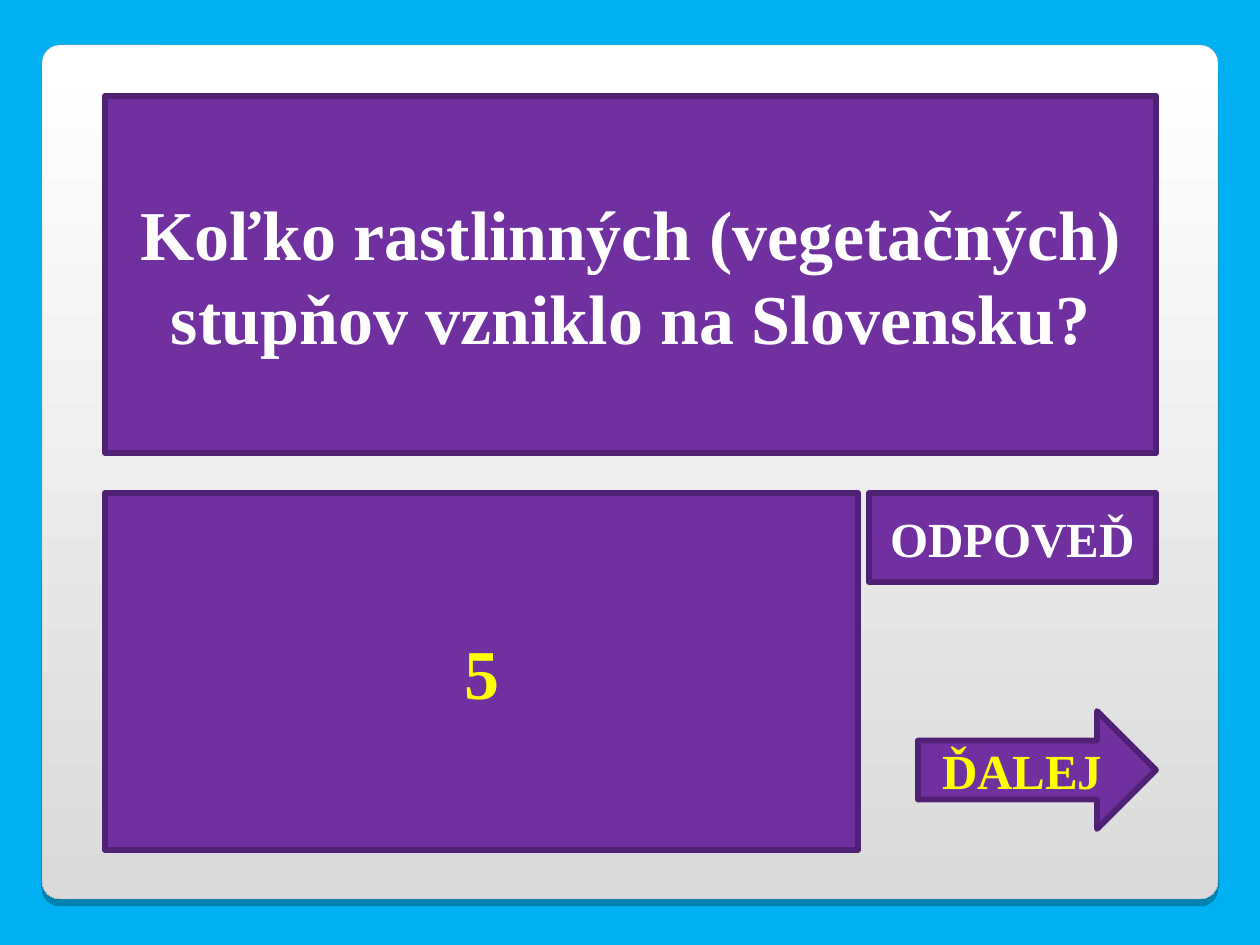
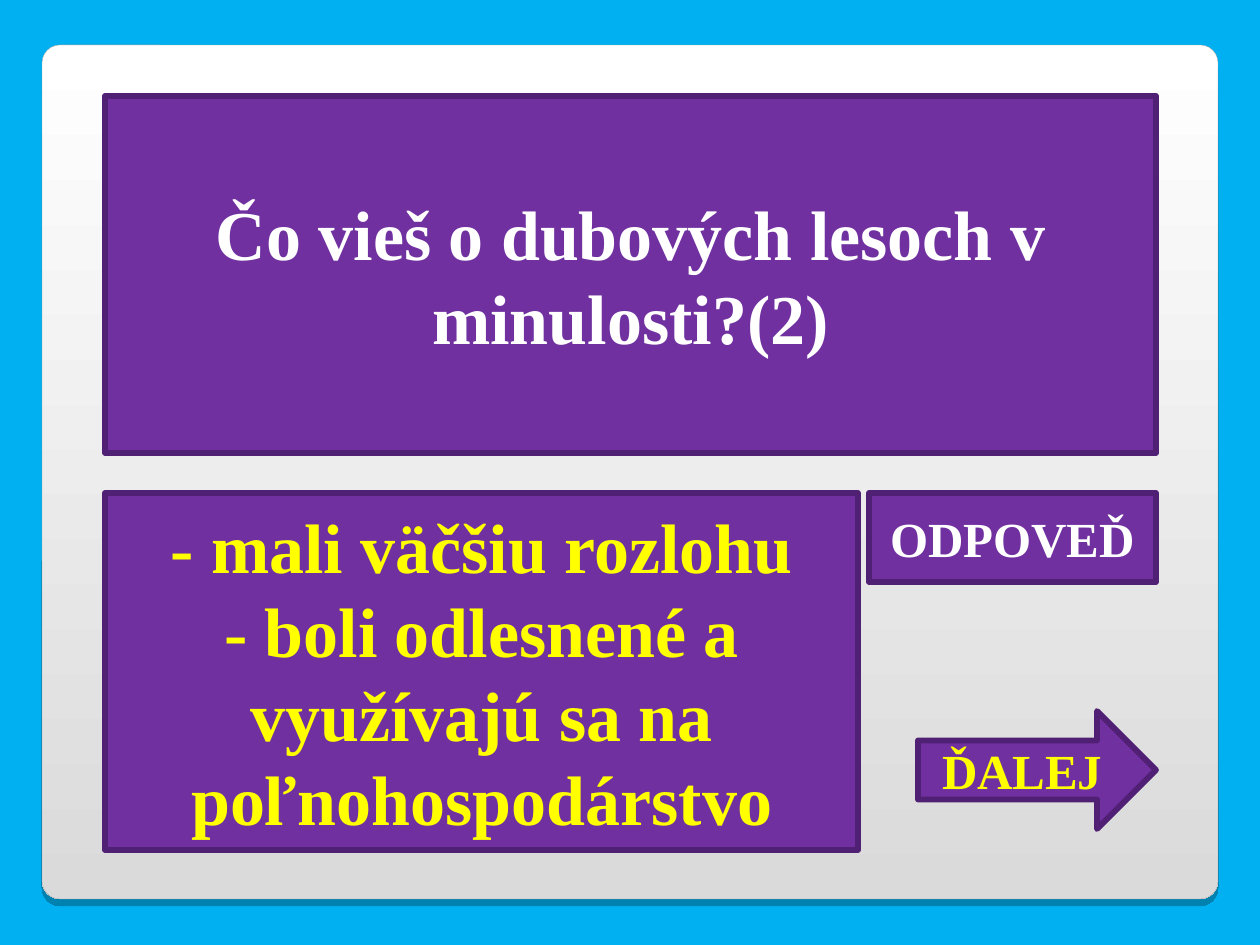
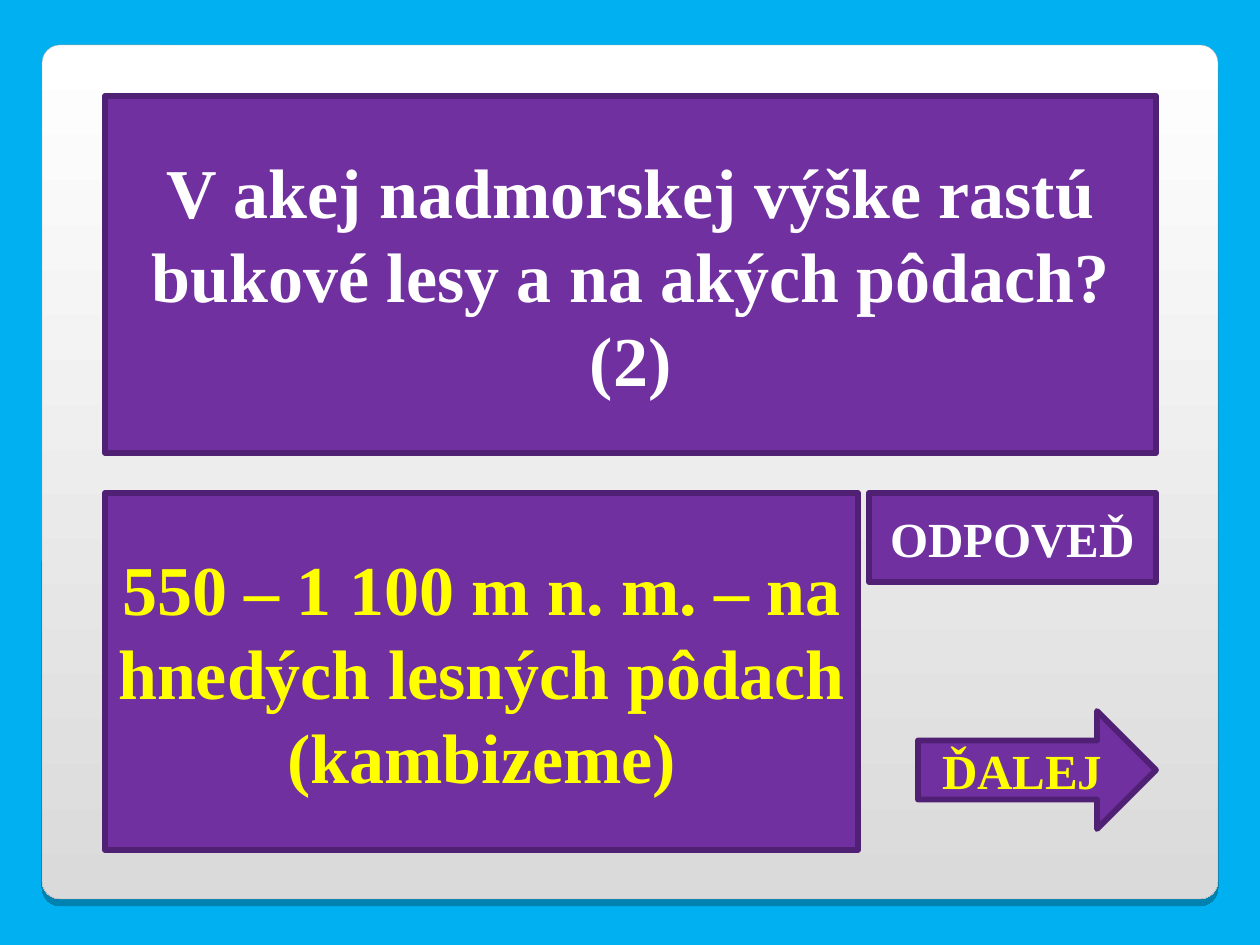
from collections import namedtuple

from lxml.etree import SubElement
from pptx import Presentation
from pptx.dml.color import RGBColor
from pptx.enum.shapes import MSO_SHAPE
from pptx.enum.text import MSO_ANCHOR, PP_ALIGN
from pptx.oxml.ns import qn
from pptx.util import Emu, Pt

PX = 914400 / 126
FONT = "Times New Roman"
COLORS = {
    "background": "00B0F0",
    "panel_top": "FFFFFF",
    "panel_bottom": "DADADA",
    "panel_edge": "A4A3A3",
    "shadow": "000000",
    "card": "7030A0",
    "card_edge": "502074",
    "question": "FFFFFF",
    "answer": "FFFF00",
}

Box = namedtuple("Box", "left top width height")
PANEL = Box(42, 45, 1176, 854)
CONTENT = Box(105, 96, 1051, 754)
CARD_HEIGHT = 357

QUIZ = [
    ("Koľko rastlinných (vegetačných) stupňov vzniklo na Slovensku?", ["5"]),
    (
        "Čo vieš o dubových lesoch v minulosti?(2)",
        ["- mali väčšiu rozlohu", "- boli odlesnené a využívajú sa na poľnohospodárstvo"],
    ),
    (
        "V akej nadmorskej výške rastú bukové lesy a na akých pôdach?(2)",
        ["550 – 1 100 m n. m. – na hnedých lesných pôdach (kambizeme)"],
    ),
]


def color(name):
    return RGBColor.from_string(COLORS[name])


def add_outlined_shape(slide, kind, box, edge, edge_width):
    shape = slide.shapes.add_shape(kind, *(Emu(round(length * PX)) for length in box))
    shape.shadow.inherit = False
    shape.line.color.rgb = color(edge)
    shape.line.width = Pt(edge_width)
    return shape


def add_card(slide, box, lines, text_color, size, kind=MSO_SHAPE.RECTANGLE):
    """Draw a purple shape with bold centred lines of text."""
    card = add_outlined_shape(slide, kind, box, "card_edge", 3.34)
    card.fill.solid()
    card.fill.fore_color.rgb = color("card")
    frame = card.text_frame
    frame.word_wrap = True
    frame.vertical_anchor = MSO_ANCHOR.MIDDLE
    frame.text = "\n".join(lines)
    for paragraph in frame.paragraphs:
        paragraph.alignment = PP_ALIGN.CENTER
        paragraph.font.name = FONT
        paragraph.font.size = Pt(size)
        paragraph.font.bold = True
        paragraph.font.color.rgb = color(text_color)


def add_panel(slide, box):
    """Draw the rounded gradient panel with a soft edge below it."""
    panel = add_outlined_shape(slide, MSO_SHAPE.ROUNDED_RECTANGLE, box, "panel_edge", 0.17)
    panel.adjustments[0] = 0.021
    panel.fill.gradient()
    panel.fill.gradient_angle = 270
    for stop, name in zip(panel.fill.gradient_stops, ("panel_top", "panel_bottom")):
        stop.color.rgb = color(name)
    effects = panel.element.spPr.find(qn("a:effectLst"))
    shadow = SubElement(effects, qn("a:outerShdw"), dist=str(Pt(4)), dir="5400000", rotWithShape="0")
    shadow_color = SubElement(shadow, qn("a:srgbClr"), val=COLORS["shadow"])
    SubElement(shadow_color, qn("a:alpha"), val="25000")
    return panel


def share_panel(layout, slide):
    """Give the layout its background and panel, so that every slide inherits them."""
    layout.background.fill.solid()
    layout.background.fill.fore_color.rgb = color("background")
    for placeholder in list(layout.placeholders):
        layout.shapes.element.remove(placeholder.element)
    layout.shapes.element.append(add_panel(slide, PANEL).element)


def add_quiz(slide, box, question, answer_lines):
    right = box.left + box.width
    bottom = box.top + box.height
    lower_top = bottom - CARD_HEIGHT
    button_width, arrow_width, arrow_height = 287, 238, 118
    add_card(slide, Box(box.left, box.top, box.width, CARD_HEIGHT), [question], "question", 40)
    add_card(slide, Box(box.left, lower_top, 753, CARD_HEIGHT), answer_lines, "answer", 40)
    add_card(slide, Box(right - button_width, lower_top, button_width, 89),
             ["ODPOVEĎ"], "question", 28)
    add_card(slide, Box(right - arrow_width, bottom - 139, arrow_width, arrow_height),
             ["ĎALEJ"], "answer", 28, MSO_SHAPE.RIGHT_ARROW)


def main():
    presentation = Presentation()
    presentation.slide_width = Emu(round(1260 * PX))
    presentation.slide_height = Emu(round(945 * PX))
    layout = presentation.slide_layouts.get_by_name("Blank")
    slides = [presentation.slides.add_slide(layout) for _ in QUIZ]
    share_panel(layout, slides[0])
    for slide, (question, answer_lines) in zip(slides, QUIZ):
        add_quiz(slide, CONTENT, question, answer_lines)
    presentation.save("out.pptx")


if __name__ == "__main__":
    main()
